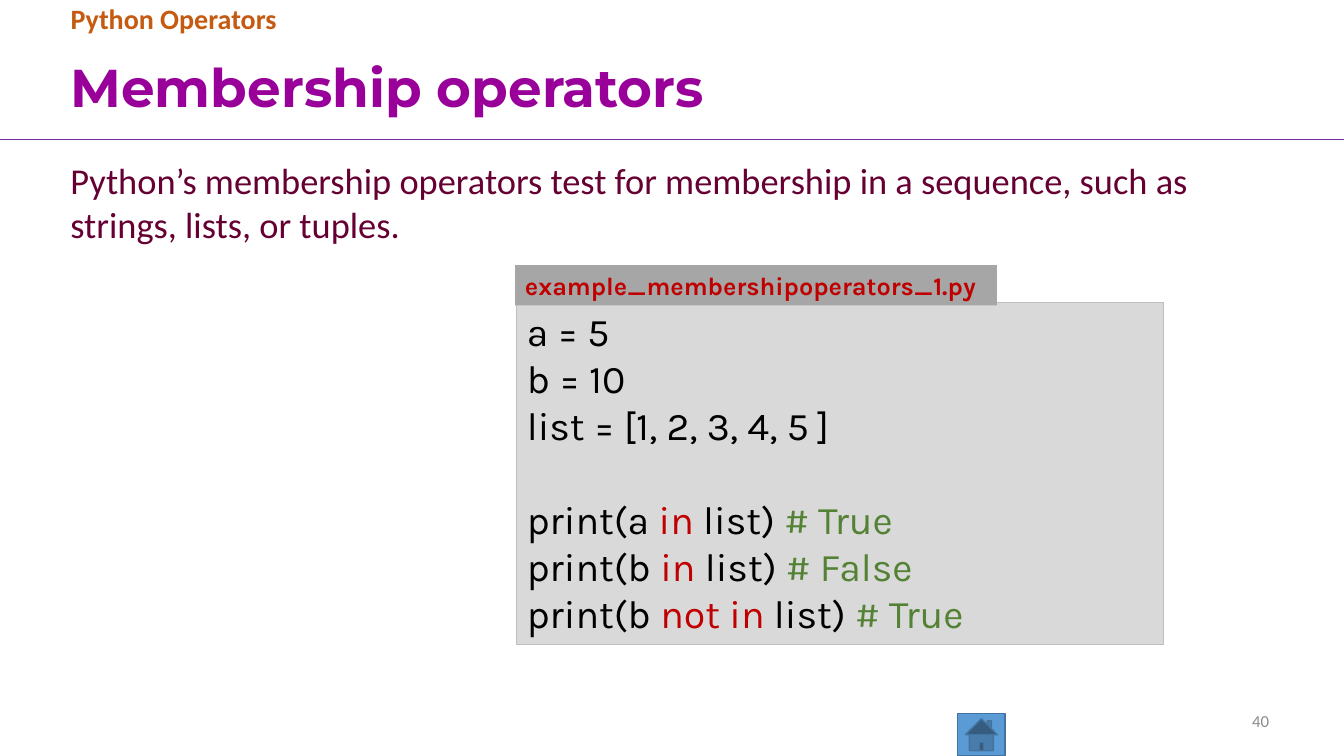
"""Build the slide on Python membership operators."""
import pptx
import pptx.dml.color
import pptx.enum.shapes
import pptx.enum.text
import pptx.oxml.ns
import pptx.util
from lxml import etree

Pt = pptx.util.Pt
MSO_SHAPE = pptx.enum.shapes.MSO_SHAPE
ALIGN = pptx.enum.text.PP_ALIGN
ANCHOR = pptx.enum.text.MSO_ANCHOR
BLACK, RED, GREEN = "000000", "C00000", "548235"


def color(hex_code):
    return pptx.dml.color.RGBColor.from_string(hex_code)


def write(frame, lines, size, font="Calibri", ink=BLACK, bold=False,
          align=ALIGN.LEFT, anchor=ANCHOR.TOP, spacing=None, gaps=None):
    frame.word_wrap = True
    frame.auto_size = pptx.enum.text.MSO_AUTO_SIZE.NONE
    frame.vertical_anchor = anchor
    for index, line in enumerate(lines):
        paragraph = frame.paragraphs[0] if index == 0 else frame.add_paragraph()
        properties = paragraph._p.get_or_add_pPr()
        properties.set("marL", "0")
        properties.set("indent", "0")
        etree.SubElement(properties, pptx.oxml.ns.qn("a:buNone"))
        paragraph.alignment = align
        paragraph.line_spacing = spacing
        paragraph.space_before = Pt((gaps or {}).get(index, 0))
        for words, tint in [(line, ink)] if isinstance(line, str) else line:
            run = paragraph.add_run()
            run.text = words
            run.font.name = font
            run.font.size = Pt(size)
            run.font.bold = bold
            run.font.color.rgb = color(tint)


class Deck:
    def __init__(self):
        self.show = pptx.Presentation()
        self.show.slide_width, self.show.slide_height = Pt(960), Pt(540)
        self.slide = self.show.slides.add_slide(self.show.slide_layouts[1])

    def placeholder(self, index, box, text, **style):
        holder = self.slide.placeholders[index]
        holder.left, holder.top, holder.width, holder.height = map(Pt, box)
        write(holder.text_frame, [text], **style)

    def text(self, box, text, **style):
        area = self.slide.shapes.add_textbox(*map(Pt, box))
        write(area.text_frame, [text], **style)

    def shape(self, kind, box, fill, line=None, weight=0.75, lines=(), **style):
        panel = self.slide.shapes.add_shape(kind, *map(Pt, box))
        panel.shadow.inherit = False
        panel.fill.solid()
        panel.fill.fore_color.rgb = color(fill)
        if line:
            panel.line.color.rgb = color(line)
            panel.line.width = Pt(weight)
        else:
            panel.line.fill.background()
        if lines:
            write(panel.text_frame, lines, **style)

    def rule(self, y, ink, weight):
        divider = self.slide.shapes.add_connector(
            pptx.enum.shapes.MSO_CONNECTOR.STRAIGHT, 0, Pt(y), Pt(960), Pt(y))
        divider.line.color.rgb = color(ink)
        divider.line.width = Pt(weight)
        etree.SubElement(divider._element.spPr, pptx.oxml.ns.qn("a:effectLst"))


def test_line(name, operator, result):
    return [(f"print({name} ", BLACK), (operator, RED),
            (" list) ", BLACK), (f"# {result}", GREEN)]


def main():
    deck = Deck()
    deck.rule(99.8, "7030A0", 0.5)
    deck.shape(MSO_SHAPE.ACTION_BUTTON_HOME, (684, 509.6, 34, 30.4),
               "5B9BD5", line="43739E", weight=1)
    deck.placeholder(0, (43.2, 29.5, 870.5, 69.8), "Membership operators", size=38,
                     font="Montserrat", ink="990099", bold=True,
                     anchor=ANCHOR.MIDDLE, spacing=0.9)
    deck.placeholder(1, (43.2, 0, 744.5, 29.5), "Python Operators", size=20,
                     ink="C55A11", bold=True, spacing=0.9)
    deck.text((678.2, 500.4, 235.4, 28.8), "40", size=12, ink="8C8C8C",
              align=ALIGN.RIGHT, anchor=ANCHOR.MIDDLE)
    deck.text((43.2, 109.4, 889.2, 70.6),
              "Python’s membership operators test for membership in a sequence, "
              "such as strings, lists, or tuples.", size=26, ink="660033")
    code = ["a = 5", "b = 10", "list = [1, 2, 3, 4, 5 ]",
            test_line("a", "in", "True"),
            test_line("b", "in", "False"),
            test_line("b", "not in", "True")]
    deck.shape(MSO_SHAPE.RECTANGLE, (369.2, 216, 462.2, 244.6), "D9D9D9",
               line="BFBFBF", lines=code, size=28, font="Karla", gaps={3: 33.6})
    deck.shape(MSO_SHAPE.RECTANGLE, (367.9, 189.4, 344.2, 28.8), "A6A6A6",
               lines=["example_membershipoperators_1.py"], size=18,
               font="Karla", ink=RED, bold=True)
    deck.show.save("out.pptx")


if __name__ == "__main__":
    main()
